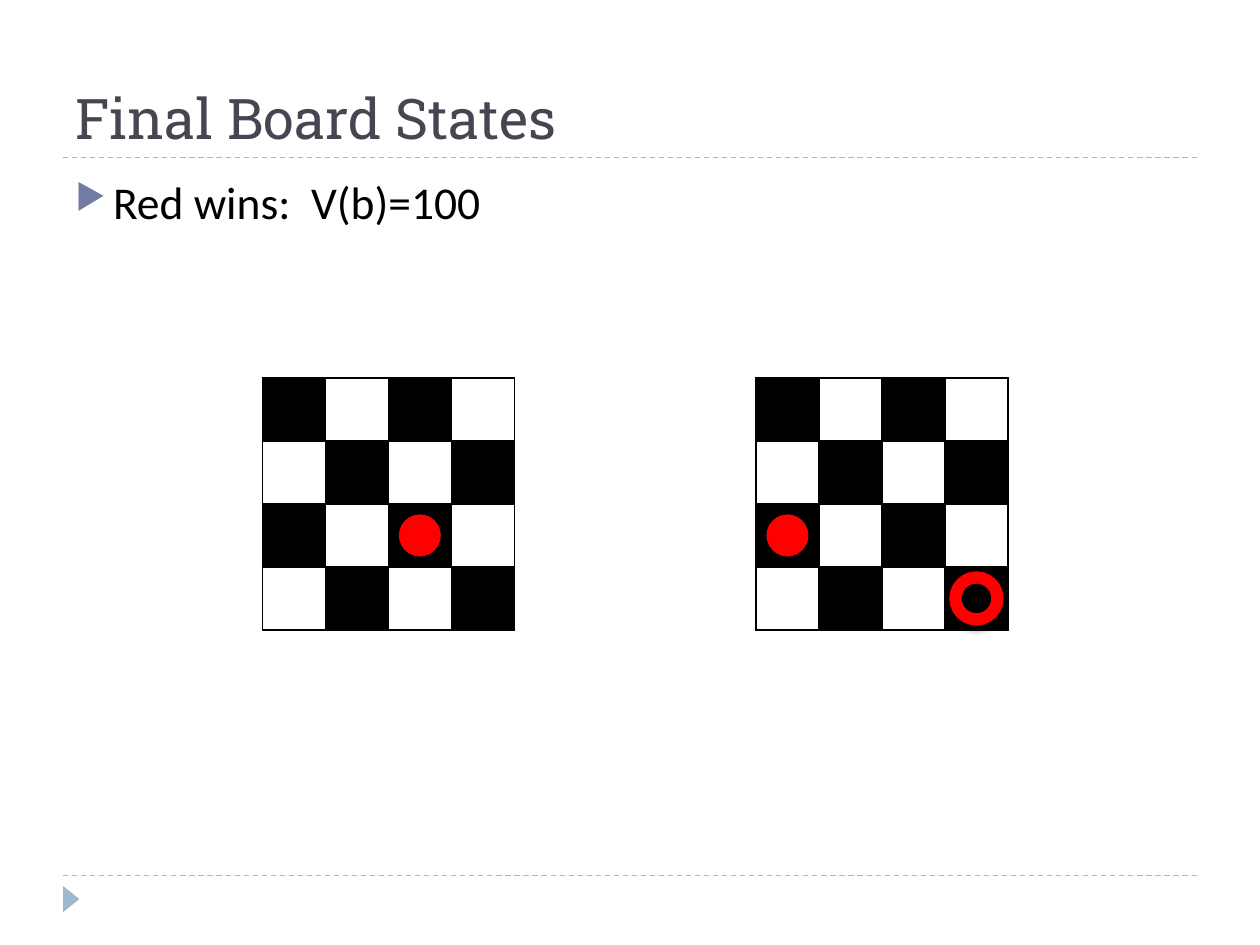
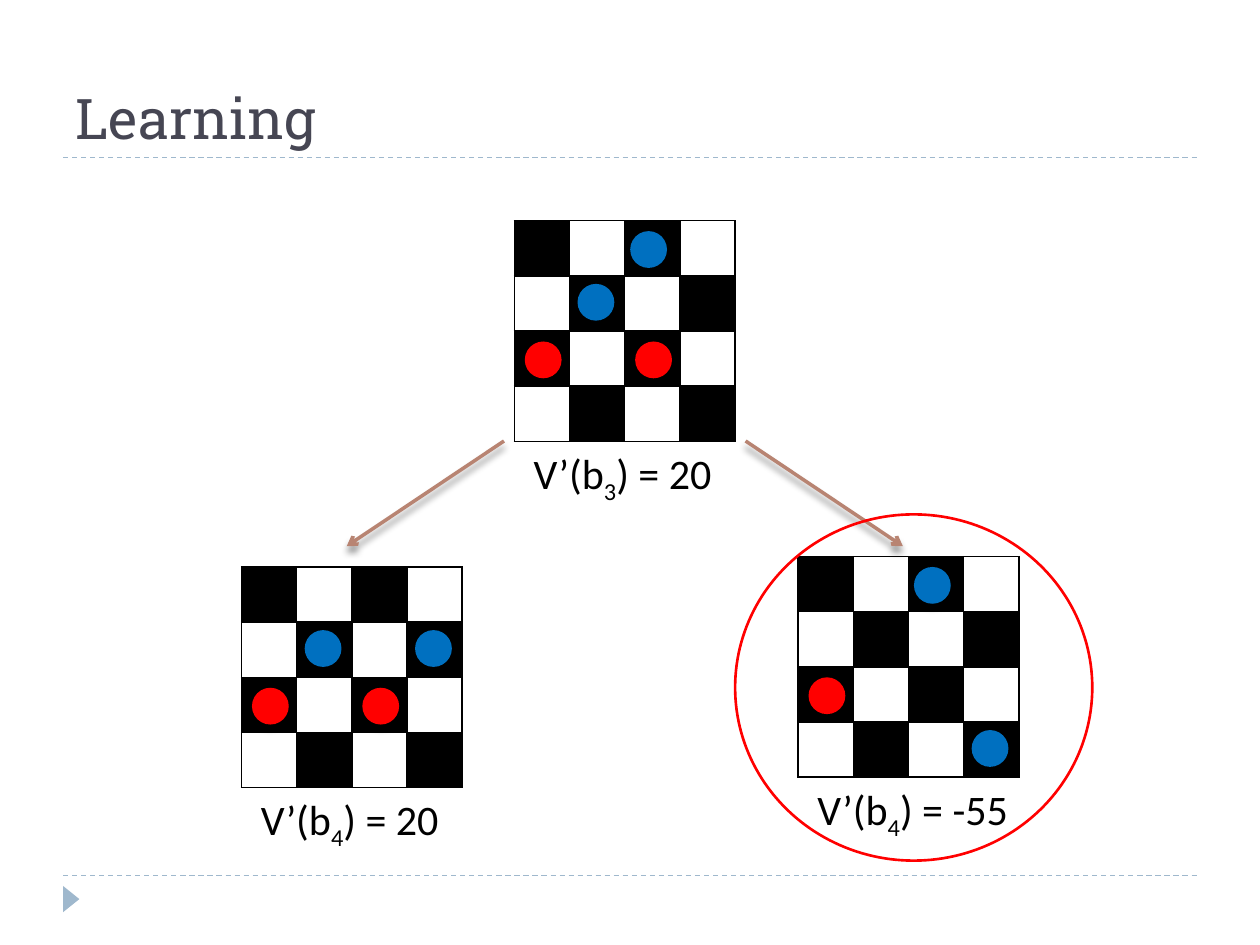
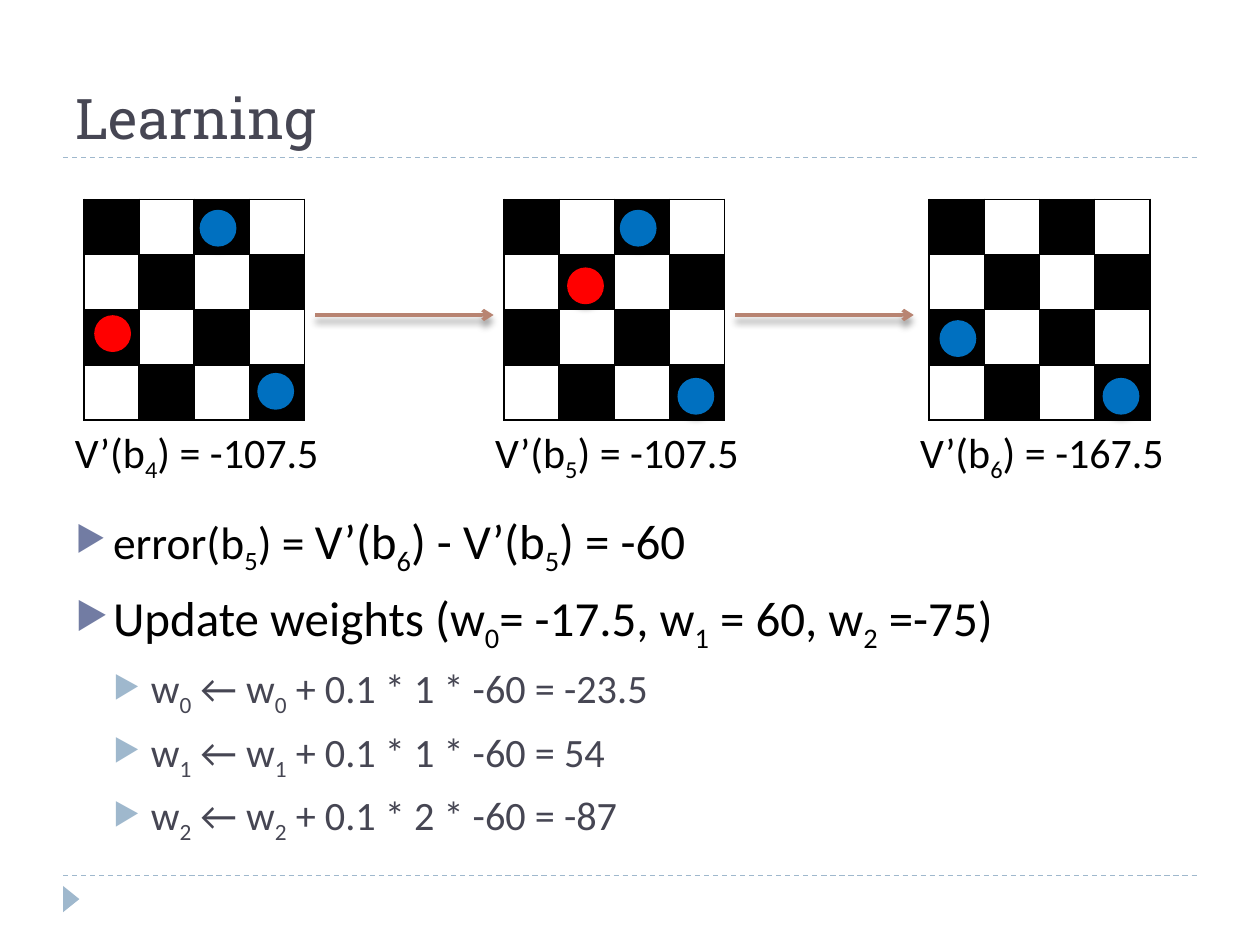
from dataclasses import dataclass
from itertools import product
from typing import Any

from lxml.etree import SubElement
from pptx import Presentation
from pptx.dml.color import RGBColor
from pptx.enum.dml import MSO_LINE
from pptx.enum.shapes import MSO_CONNECTOR, MSO_SHAPE
from pptx.enum.text import MSO_ANCHOR, MSO_AUTO_SIZE
from pptx.oxml.ns import qn
from pptx.util import Cm, Pt

BLACK, WHITE, RED, BLUE = "000000", "FFFFFF", "FF0000", "0070C0"
INK, STEEL, VIOLET, CLAY = "464653", "9FB8CD", "727CA3", "B88472"
BODY, HEAD = "Calibri", "Roboto Slab"
LEFT, WIDE = 1.27, 22.86
GRID = 4
SMALL = 4.45


@dataclass(frozen=True)
class Disc:
    col: int
    row: int
    hue: str
    dx: float = 0.21
    dy: float = 0.21
    ring: bool = False


@dataclass(frozen=True)
class Board:
    left: float
    top: float
    discs: tuple[Disc, ...]
    note: str = ""
    shift: float = 0.14
    wide: float = 4.32
    size: float = SMALL


@dataclass(frozen=True)
class Arrow:
    x: float
    y: float
    end_x: float
    end_y: float


@dataclass(frozen=True)
class Level:
    size: float
    hue: str
    mark: str
    indent: float
    space: float


MAIN = Level(26, BLACK, VIOLET, 0.76, 6)
SUB = Level(23, INK, STEEL, 1.52, 5)


def tint(code: str) -> RGBColor:
    return RGBColor.from_string(code)


def node(parent: Any, tag: str, **attrs: Any) -> Any:
    return SubElement(parent, qn(f"a:{tag}"), {k: str(v) for k, v in attrs.items()})


def paint(parent: Any, code: str) -> Any:
    return node(parent, "srgbClr", val=code)


def shade(effects: Any, dist: float, alpha: int) -> None:
    glow = node(effects, "outerShdw", blurRad=Pt(4), dist=Pt(dist), dir=5400000, rotWithShape=0)
    node(paint(glow, BLACK), "alpha", val=alpha * 1000)


def write(par: Any, text: str, *, size: float, hue: str = BLACK, font: str = BODY) -> None:
    first, *rest = text.split("_")
    parts = [(first, False)]
    for part in rest:
        parts += [(part[0], True), (part[1:], False)]
    for words, low in parts:
        run = par.add_run()
        run.text = words
        run.font.size, run.font.name = Pt(size), font
        run.font.color.rgb = tint(hue)
        if low:
            run.font._element.set("baseline", "-25000")


def add_box(slide: Any, left: float, top: float, wide: float, high: float, wrap: bool = True) -> Any:
    frame = slide.shapes.add_textbox(Cm(left), Cm(top), Cm(wide), Cm(high)).text_frame
    frame.word_wrap = wrap
    frame.auto_size = MSO_AUTO_SIZE.NONE if wrap else MSO_AUTO_SIZE.SHAPE_TO_FIT_TEXT
    return frame


def add_line(slide: Any, track: Arrow, hue: str, width: float) -> Any:
    line = slide.shapes.add_connector(
        MSO_CONNECTOR.STRAIGHT, Cm(track.x), Cm(track.y), Cm(track.end_x), Cm(track.end_y))
    line.line.color.rgb = tint(hue)
    line.line.width = Pt(width)
    node(line._element.spPr, "effectLst")
    return line


def add_arrow(slide: Any, track: Arrow) -> None:
    line = add_line(slide, track, CLAY, 2)
    node(line.line._get_or_add_ln(), "tailEnd", type="arrow")
    shade(line._element.spPr.find(qn("a:effectLst")), 3.4, 40)


def add_form(slide: Any, kind: Any, left: float, top: float, wide: float, high: float,
             fill: str = "", edge: str = "", width: float = 1) -> Any:
    form = slide.shapes.add_shape(kind, Cm(left), Cm(top), Cm(wide), Cm(high))
    if fill:
        form.fill.solid()
        form.fill.fore_color.rgb = tint(fill)
    else:
        form.fill.background()
    if edge:
        form.line.color.rgb = tint(edge)
        form.line.width = Pt(width)
    else:
        form.line.fill.background()
    form.shadow.inherit = False
    return form


def add_disc(slide: Any, board: Board, disc: Disc) -> None:
    cell = board.size / GRID
    size = cell * 2 / 3
    look = {"edge": disc.hue, "width": 7} if disc.ring else {"fill": disc.hue}
    form = add_form(slide, MSO_SHAPE.OVAL, board.left + disc.col * cell + disc.dx,
                    board.top + disc.row * cell + disc.dy, size, size, **look)
    shade(form._element.spPr.find(qn("a:effectLst")), 2, 50)


def add_board(slide: Any, board: Board) -> None:
    side = Cm(board.size)
    table = slide.shapes.add_table(GRID, GRID, Cm(board.left), Cm(board.top), side, side).table
    table.first_row = table.horz_banding = False
    for band in table.columns:
        band.width = Cm(board.size / GRID)
    for band in table.rows:
        band.height = Cm(board.size / GRID)
    for row, col in product(range(GRID), repeat=2):
        cell = table.cell(row, col)
        for edge in ("lnL", "lnR", "lnT", "lnB"):
            line = node(cell._tc.get_or_add_tcPr(), edge, w=Pt(1))
            paint(node(line, "solidFill"), BLACK)
        cell.fill.solid()
        cell.fill.fore_color.rgb = tint(WHITE if (row + col) % 2 else BLACK)
    for disc in board.discs:
        add_disc(slide, board, disc)
    if board.note:
        frame = add_box(slide, board.left + board.shift, board.top + board.size, board.wide, 1.27, False)
        write(frame.paragraphs[0], board.note, size=24)


def add_point(frame: Any, text: str, level: Level, tail: str = "") -> None:
    first = not frame.paragraphs[0].runs
    par = frame.paragraphs[0] if first else frame.add_paragraph()
    if not first:
        par.space_before = Pt(level.space)
    props = par._p.get_or_add_pPr()
    props.set("marL", str(Cm(level.indent)))
    props.set("indent", str(-Cm(0.76)))
    paint(node(props, "buClr"), level.mark)
    node(props, "buSzPct", val=76000)
    node(props, "buChar", char="▶")
    write(par, text, size=level.size, hue=level.hue)
    if tail:
        write(par, tail, size=28, hue=level.hue)


def add_slide(deck: Any, title: str) -> Any:
    slide = deck.slides.add_slide(deck.slide_layouts[6])
    for y in (17.65, 3.18):
        rule = add_line(slide, Arrow(LEFT, y, LEFT + WIDE, y), STEEL, 0.75)
        rule.line.dash_style = MSO_LINE.DASH
    mark = add_form(slide, MSO_SHAPE.ISOSCELES_TRIANGLE, 1.17, 17.96, 0.53, 0.33, STEEL)
    mark.rotation = 90
    frame = add_box(slide, LEFT, 0.43, WIDE, 2.74)
    frame.vertical_anchor = MSO_ANCHOR.BOTTOM
    write(frame.paragraphs[0], title, size=32, hue=INK, font=HEAD)
    return slide


def add_final(deck: Any) -> None:
    slide = add_slide(deck, "Final Board States")
    add_point(add_box(slide, LEFT, 3.38, WIDE, 13.72), "Red wins:  V(b)=100", MAIN)
    add_board(slide, Board(5.29, 7.62, (Disc(2, 2, RED),), size=5.08))
    add_board(slide, Board(15.24, 7.62, (Disc(3, 3, RED, ring=True), Disc(0, 2, RED)), size=5.08))


def add_choice(deck: Any) -> None:
    slide = add_slide(deck, "Learning")
    reds = (Disc(2, 2, RED), Disc(0, 2, RED))
    high = Disc(2, 0, BLUE, dx=0.11)
    inner = Disc(1, 1, BLUE, 0.16, 0.16)
    boards = (
        Board(4.87, 11.43, (Disc(3, 1, BLUE, 0.16, 0.16), *reds, inner), "V’(b_4) = 20"),
        Board(10.37, 4.45, (high, *reds, inner), "V’(b_3) = 20"),
        Board(16.09, 11.22, (high, Disc(0, 2, RED), Disc(3, 3, BLUE, 0.16, 0.16)),
              "V’(b_4) = -55", wide=4.57),
    )
    for board in boards:
        add_board(slide, board)
    add_arrow(slide, Arrow(10.16, 8.89, 6.99, 11.01))
    add_arrow(slide, Arrow(15.03, 8.89, 18.2, 11.01))
    add_form(slide, MSO_SHAPE.OVAL, 14.82, 10.37, 7.2, 6.98, edge=RED, width=1.5)


def add_update(deck: Any) -> None:
    slide = add_slide(deck, "Learning")
    frame = add_box(slide, LEFT, 10.16, WIDE, 6.93)
    add_point(frame, "error(b_5) = ", MAIN, "V’(b_6) - V’(b_5) = -60")
    add_point(frame, "", MAIN, "Update weights (w_0= -17.5, w_1 = 60, w_2 =-75)")
    for index, (factor, total) in enumerate(((1, "-23.5"), (1, "54"), (2, "-87"))):
        add_point(frame, f"w_{index} ← w_{index} + 0.1 * {factor} * -60 = {total}", SUB)
    high = Disc(2, 0, BLUE, dx=0.11)
    corner = Disc(3, 3, BLUE, 0.16, 0.26)
    moves = (
        (1.69, (high, Disc(0, 2, RED, dy=0.11), Disc(3, 3, BLUE, 0.16, 0.16)), "V’(b_4) = -107.5"),
        (10.16, (high, Disc(1, 1, RED, 0.16, 0.26), corner), "V’(b_5) = -107.5"),
        (18.73, (Disc(0, 2, BLUE), corner), "V’(b_6) = -167.5"),
    )
    for left, discs, note in moves:
        add_board(slide, Board(left, 4.02, discs, note, shift=-0.43, wide=5.61))
    for x in (6.35, 14.82):
        add_arrow(slide, Arrow(x, 6.35, x + 3.6, 6.35))


def main() -> None:
    deck = Presentation()
    deck.slide_width, deck.slide_height = Cm(25.4), Cm(19.05)
    add_final(deck)
    add_choice(deck)
    add_update(deck)
    deck.save("out.pptx")


if __name__ == "__main__":
    main()
